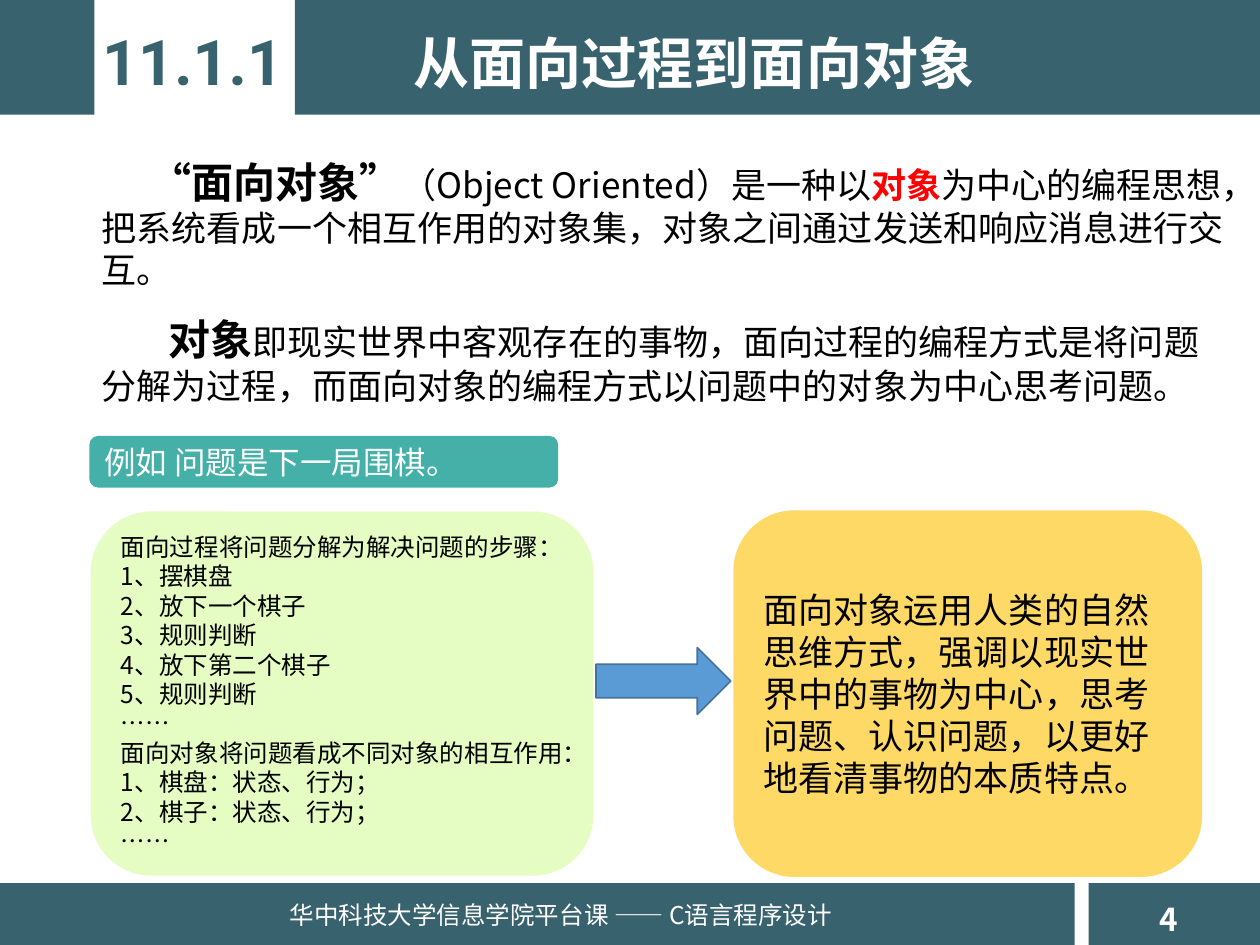
from pptx import Presentation
from pptx.dml.color import RGBColor
from pptx.enum.shapes import MSO_SHAPE
from pptx.enum.text import MSO_ANCHOR, PP_ALIGN
from pptx.oxml.ns import qn
from pptx.util import Inches, Pt

RECT, ROUNDED, ARROW = MSO_SHAPE.RECTANGLE, MSO_SHAPE.ROUNDED_RECTANGLE, MSO_SHAPE.RIGHT_ARROW
TOP, MIDDLE = MSO_ANCHOR.TOP, MSO_ANCHOR.MIDDLE
LEFT, CENTER = PP_ALIGN.LEFT, PP_ALIGN.CENTER

COLORS = {
    "band": "39626F", "white": "FFFFFF", "black": "000000", "red": "FF0000",
    "teal": "45B0A8", "green": "E5FCC2", "yellow": "FFD966",
    "arrow": "5B9BD5", "arrow_line": "43739E",
}
CJK, LATIN = "Noto Sans CJK SC", "Roboto"

# The slide is a grid of 100 columns by 75 rows
COLS, ROWS = 100, 75
CELL = Inches(0.1)

TERM = {"size": Pt(24), "bold": True}
BODY = {"size": Pt(20)}
STEPS = [
    "面向过程将问题分解为解决问题的步骤：",
    "1、摆棋盘", "2、放下一个棋子", "3、规则判断", "4、放下第二个棋子", "5、规则判断", "……",
    "面向对象将问题看成不同对象的相互作用：",
    "1、棋盘：状态、行为；", "2、棋子：状态、行为；", "……",
]


def rgb(name):
    return RGBColor.from_string(COLORS[name])


def cells(box):
    return [round(n * CELL) for n in box]


def add_run(p, text, style, color="black", face=CJK):
    r = p.add_run()
    r.text = text
    for key, value in {"name": face, "bold": False, **style}.items():
        setattr(r.font, key, value)
    r.font.color.rgb = rgb(color)
    ea = r.font._element.makeelement(qn("a:ea"), {"typeface": face})
    r.font._element.find(qn("a:latin")).addnext(ea)


def write(sp, paragraphs, align=LEFT, anchor=TOP, indent=0):
    """Each paragraph is a list of add_run arguments."""
    tf = sp.text_frame
    tf.word_wrap = True
    tf.vertical_anchor = anchor
    for i, runs in enumerate(paragraphs):
        p = tf.paragraphs[0] if i == 0 else tf.add_paragraph()
        p.alignment = align
        if indent:
            p._p.get_or_add_pPr().set("indent", str(round(indent * CELL)))
        for run in runs:
            add_run(p, *run)


def add_text(slide, box, paragraphs, **layout):
    write(slide.shapes.add_textbox(*cells(box)), paragraphs, **layout)


def add_block(slide, kind, box, fill, line=None):
    sp = slide.shapes.add_shape(kind, *cells(box))
    sp.shadow.inherit = False
    sp.fill.solid()
    sp.fill.fore_color.rgb = rgb(fill)
    if line:
        sp.line.color.rgb = rgb(line)
        sp.line.width = Pt(1)
    else:
        sp.line.fill.background()
    return sp


def add_header(slide, box):
    x, y, w, h = box
    tab_left, tab_right = x + 7.5, x + 23.4
    add_block(slide, RECT, (x, y, tab_left - x, h), "band")
    add_block(slide, RECT, (tab_right, y, x + w - tab_right, h), "band")
    add_text(slide, (tab_left - 0.4, y + 1.3, 16.4, 7.1),
             [[("11.1.1", {"size": Pt(36), "bold": True}, "band", LATIN)]], align=CENTER)
    add_text(slide, (x + 29.6, y + 1.8, 51, 6.4),
             [[("从面向过程到面向对象", {"size": Pt(32), "bold": True}, "white")]], align=CENTER)


def add_definitions(slide, box):
    x, y, w, h = box
    add_text(slide, (x, y, w, 11.8), [[
        ("“面向对象”", TERM),
        ("（Object Oriented）是一种以", BODY),
        ("对象", {**BODY, "bold": True}, "red"),
        ("为中心的编程思想，把系统看成一个相互作用的对象集，对象之间通过发送和响应消息进行交互。", BODY),
    ]], indent=3.8)
    add_text(slide, (x, y + h - 8.4, w, 8.4), [[
        ("对象", TERM),
        ("即现实世界中客观存在的事物，面向过程的编程方式是将问题分解为过程，"
         "而面向对象的编程方式以问题中的对象为中心思考问题。", BODY),
    ]], indent=5.3)


def add_example(slide, box):
    x, y, w, h = box
    panel_w, panel_h = 37.2, 29.1
    panel_x, panel_y = x + w - panel_w, y + h - panel_h

    # Example label
    label = add_block(slide, ROUNDED, (x, y, panel_w, 4.1), "teal")
    write(label, [[("例如 问题是下一局围棋。", {"size": Pt(18)}, "white")]], anchor=MIDDLE)

    # Steps on the left
    steps = add_block(slide, ROUNDED, (x + 0.1, panel_y + 0.1, 39.9, panel_h - 0.2), "green")
    write(steps, [[(step, {"size": Pt(14)})] for step in STEPS], anchor=MIDDLE)

    # Arrow to the conclusion
    add_block(slide, ARROW, (x + 40.2, panel_y + 10.9, 10.7, 5.3), "arrow", "arrow_line")
    conclusion = add_block(slide, ROUNDED, (panel_x, panel_y, panel_w, panel_h), "yellow")
    write(conclusion, [[(
        "面向对象运用人类的自然思维方式，强调以现实世界中的事物为中心，"
        "思考问题、认识问题，以更好地看清事物的本质特点。", BODY)]], anchor=MIDDLE)


def add_footer(slide, box):
    x, y, w, h = box
    number_w, gap = 13.6, 1.1
    add_block(slide, RECT, (x, y, w - number_w - gap, h), "band")
    add_block(slide, RECT, (x + w - number_w, y, number_w, h), "band")
    add_text(slide, (x + 22, y + 0.8, 50, 4),
             [[("华中科技大学信息学院平台课 —— C语言程序设计", {"size": Pt(14)}, "white")]])
    add_text(slide, (x + w - 9, y + 0.8, 5.5, 4),
             [[("4", {"size": Pt(18), "bold": True}, "white")]])


def main():
    prs = Presentation()
    prs.slide_width, prs.slide_height = COLS * CELL, ROWS * CELL
    slide = prs.slides.add_slide(prs.slide_layouts[6])
    add_header(slide, (0, 0, COLS, 9.1))
    add_footer(slide, (0, 70.1, COLS, 4.9))
    add_definitions(slide, (7.1, 11.9, 91.3, 20.9))
    add_example(slide, (7.1, 34.6, 88.3, 35))
    prs.save("out.pptx")


if __name__ == "__main__":
    main()
